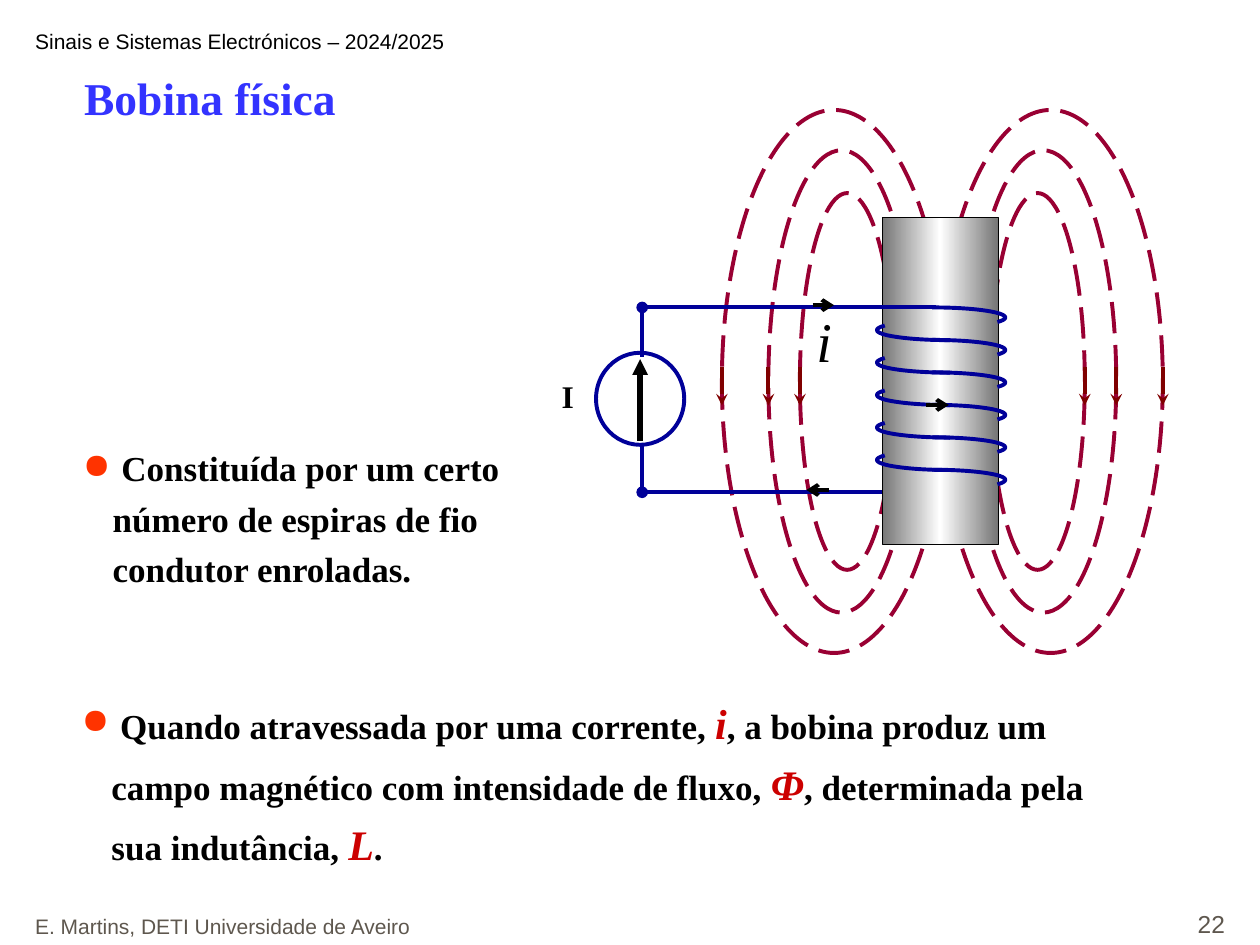
import copy

import pptx
import pptx.dml.color
import pptx.enum.shapes
import pptx.enum.text
import pptx.oxml
import pptx.oxml.ns
import pptx.util

Pt = pptx.util.Pt
RGB = pptx.dml.color.RGBColor
SHAPE = pptx.enum.shapes.MSO_SHAPE
ANCHOR = pptx.enum.text.MSO_ANCHOR
ALIGN = pptx.enum.text.PP_ALIGN
qn = pptx.oxml.ns.qn

BLACK = RGB(0x00, 0x00, 0x00)
WHITE = RGB(0xFF, 0xFF, 0xFF)
TITLE_BLUE = RGB(0x33, 0x33, 0xFF)
WIRE_BLUE = RGB(0x00, 0x00, 0x99)
FIELD_RED = RGB(0x99, 0x00, 0x33)
ARROW_RED = RGB(0x80, 0x00, 0x00)
SYMBOL_RED = RGB(0xCC, 0x00, 0x00)
BULLET_RED = RGB(0xFF, 0x33, 0x00)
FOOTER_GRAY = RGB(0x5E, 0x57, 0x4E)
CORE_GRAY = RGB(0x75, 0x75, 0x75)

HEADER = {"name": "Arial", "size": Pt(12), "color": BLACK}
FOOTER = {**HEADER, "color": FOOTER_GRAY}
NUMBER = {**FOOTER, "size": Pt(14)}
TITLE = {"name": "Times New Roman", "size": Pt(26), "bold": True, "color": TITLE_BLUE}
BODY = {**TITLE, "size": Pt(20), "color": BLACK}
SYMBOL = {**BODY, "size": Pt(24), "italic": True, "color": SYMBOL_RED}
CURRENT = {"name": "Times New Roman", "size": Pt(32), "italic": True, "color": BLACK}
SOURCE = {**BODY, "size": Pt(18)}

AXIS_X, FIELD_Y = 538.5, 218
FIELD_LOOPS = [(126, 128.2, 310.3), (99.4, 83.5, 264.2), (81.4, 54, 215.3)]
TURN_STEP, TURN_W, TURN_H = 18.55, 83.5, 11.5


def add_child(parent, tag, **attrs):
    child = pptx.oxml.parse_xml(f"<a:{tag} {pptx.oxml.ns.nsdecls('a')}/>")
    for key, value in attrs.items():
        child.set(key, str(value))
    parent.append(child)
    return child


def add_text(slide, box, runs, wrap=True, anchor=ANCHOR.TOP, align=ALIGN.LEFT, bullet=False):
    tf = slide.shapes.add_textbox(*map(Pt, box)).text_frame
    tf.word_wrap = wrap
    tf.vertical_anchor = anchor
    p = tf.paragraphs[0]
    p.alignment = align
    if bullet:
        p.line_spacing = 1.2
        pPr = p._p.get_or_add_pPr()
        pPr.set("marL", str(Pt(17)))
        pPr.set("indent", str(-Pt(17)))
        add_child(add_child(pPr, "buClr"), "srgbClr", val=BULLET_RED)
        add_child(pPr, "buChar", char="●")
    for text, fmt in runs:
        r = p.add_run()
        r.text = text
        for key, value in fmt.items():
            if key == "color":
                r.font.color.rgb = value
            else:
                setattr(r.font, key, value)


def add_line(slide, start, end, color, tail=None, width=2.25):
    line = slide.shapes.add_connector(
        pptx.enum.shapes.MSO_CONNECTOR.STRAIGHT, *map(Pt, (*start, *end)))
    line.line.color.rgb = color
    line.line.width = Pt(width)
    if tail:
        add_child(line.line._get_or_add_ln(), "tailEnd", type=tail)
    add_child(line._element.spPr, "effectLst")


def add_outline(slide, kind, box, color, width=2.25):
    sp = slide.shapes.add_shape(kind, *map(Pt, box))
    sp.shadow.inherit = False
    sp.fill.background()
    sp.line.color.rgb = color
    sp.line.width = Pt(width)
    return sp


def add_arc(slide, box, start, end, color):
    sp = add_outline(slide, SHAPE.ARC, box, color)
    for i, degrees in enumerate((start, end)):
        sp.adjustments[i] = degrees * 0.6
    return sp


def add_field(slide):
    for side in (1, -1):
        for reach, w, h in FIELD_LOOPS:
            edge = AXIS_X + side * reach
            left = edge - w if side > 0 else edge
            sp = add_arc(slide, (left, FIELD_Y - h / 2, w, h), 211, 149, FIELD_RED)
            sp.line.dash_style = pptx.enum.dml.MSO_LINE.LONG_DASH
            if side < 0:
                sp._element.spPr.find(qn("a:xfrm")).set("flipH", "1")
            add_line(slide, (edge, 210), (edge, 231.7), ARROW_RED, "stealth")


def add_core(slide):
    sp = add_outline(slide, SHAPE.RECTANGLE, (504, 124, 66.5, 187), BLACK, 0.25)
    sp.fill.gradient()
    sp.fill.gradient_angle = 0
    stops = sp._element.spPr.find(qn("a:gradFill")).find(qn("a:gsLst"))
    stops.insert(1, copy.deepcopy(stops[0]))
    for stop, pos, color in zip(sp.fill.gradient_stops, (0, 0.5, 1), (CORE_GRAY, WHITE, CORE_GRAY)):
        stop.position = pos
        stop.color.rgb = color


def add_winding(slide):
    for i in range(6):
        y = 175.7 + i * TURN_STEP
        add_arc(slide, (491, y, TURN_W, TURN_H), 270, 4, WIRE_BLUE)
        if i < 5:
            add_arc(slide, (501.1, y + 7.2, TURN_W, TURN_H), 90, 184, WIRE_BLUE)


def add_circuit(slide):
    add_line(slide, (504, 281), (365, 281), WIRE_BLUE)
    add_line(slide, (368.6, 175.7), (535, 175.7), WIRE_BLUE)
    for start, end in (((464.4, 174.4), (476.6, 174.4)),
                       ((473.8, 280), (460.8, 280)),
                       ((529.2, 231.4), (542.2, 231.4))):
        add_line(slide, start, end, BLACK, "arrow")
    add_text(slide, (459.4, 171.4, 23, 46), [("i", CURRENT)], wrap=False)
    add_text(slide, (313.9, 211.7, 21, 29), [("I", SOURCE)], wrap=False)
    add_outline(slide, SHAPE.OVAL, (340.6, 201.6, 50.4, 52.6), WIRE_BLUE)
    add_line(slide, (367, 203.8), (367, 175.7), WIRE_BLUE, "oval")
    add_line(slide, (367, 253.4), (367, 281.3), WIRE_BLUE, "oval")
    add_line(slide, (365.8, 252), (365.8, 205.2), BLACK, "triangle", 3)


def main():
    prs = pptx.Presentation()
    prs.slide_width, prs.slide_height = Pt(720), Pt(540)
    slide = prs.slides.add_slide(prs.slide_layouts[6])
    add_text(slide, (13, 13, 660, 21.6),
             [("Sinais e Sistemas Electrónicos – 2024/2025", HEADER)])
    add_text(slide, (41, 36.7, 614, 58.3), [("Bobina física", TITLE)])
    add_text(slide, (40.3, 247, 263.5, 93.6),
             [(" Constituída por um certo número de espiras de fio condutor enroladas.", BODY)],
             bullet=True)
    add_field(slide)
    add_core(slide)
    add_winding(slide)
    add_circuit(slide)
    add_text(slide, (39.6, 389.5, 589, 111), [
        (" Quando atravessada por uma corrente, ", BODY),
        ("i", SYMBOL),
        (", a bobina produz um campo magnético com intensidade de fluxo, ", BODY),
        ("Φ", SYMBOL),
        (", determinada pela sua indutância, ", BODY),
        ("L", SYMBOL),
        (".", BODY),
    ], bullet=True)
    add_text(slide, (557.3, 504, 149.8, 36), [("22", NUMBER)],
             anchor=ANCHOR.BOTTOM, align=ALIGN.RIGHT)
    add_text(slide, (13, 504, 377, 36),
             [("E. Martins, DETI Universidade de Aveiro", FOOTER)], anchor=ANCHOR.BOTTOM)
    prs.save("out.pptx")


if __name__ == "__main__":
    main()
